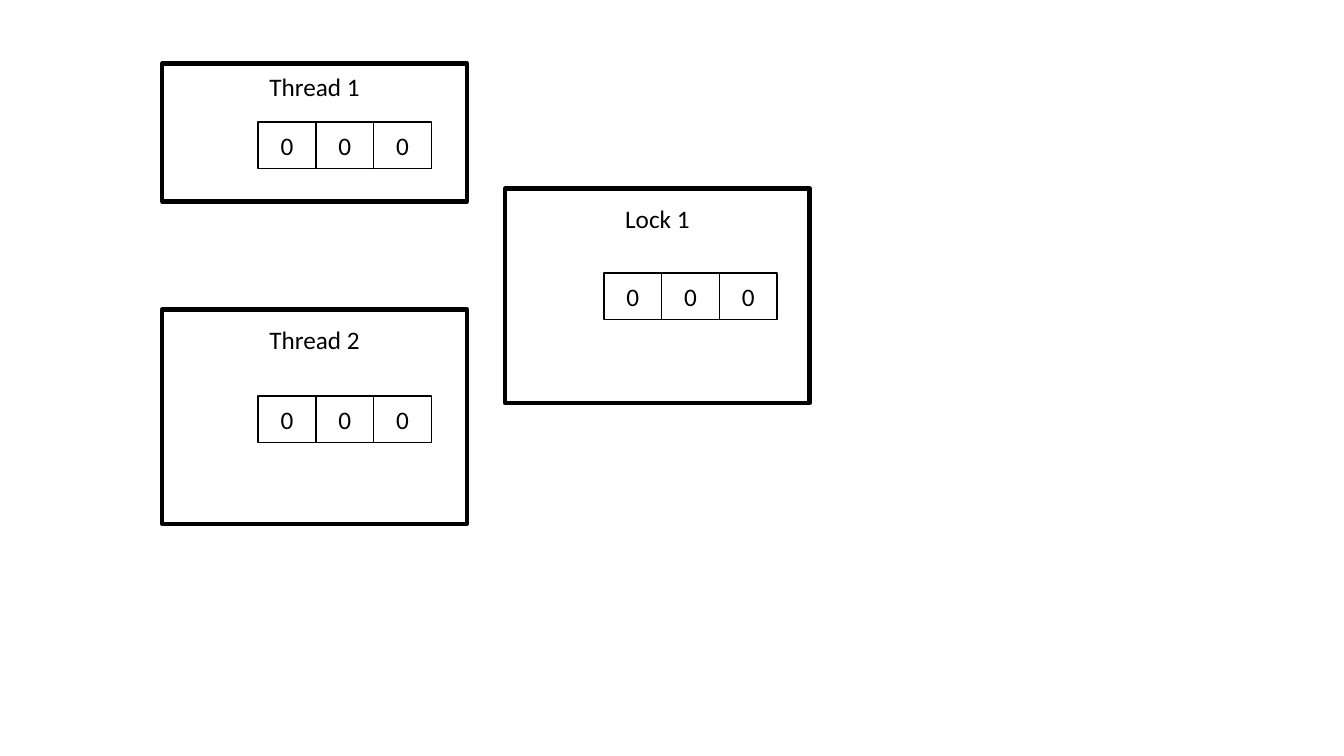
from pptx import Presentation
from pptx import util as u
from pptx.dml.color import RGBColor
from pptx.enum import shapes, text

BLACK = RGBColor(0, 0, 0)
WHITE = RGBColor(255, 255, 255)
FONT_FORMAT = {"name": "Calibri", "size": u.Pt(18)}
CELL_WIDTH, CELL_HEIGHT = 0.573, 0.46
CLOCK = ("0", "0", "0")

# name, box (left, top, width, height), title inset, clock offset in the box
PANELS = [
    ("Thread 1", (1.61, 0.63, 3.02, 1.37), 0.08, (0.95, 0.58)),
    ("Thread 2", (1.61, 3.07, 3.02, 2.13), 0.15, (0.95, 0.86)),
    ("Lock 1", (5.01, 1.87, 3.02, 2.13), 0.15, (0.98, 0.84)),
]


def add_box(parent, box, label, line_width, anchor):
    """Add an outlined white rectangle with a centred label."""
    shape = parent.add_shape(
        shapes.MSO_SHAPE.RECTANGLE, *(u.Inches(length) for length in box))
    shape.shadow.inherit = False
    shape.fill.solid()
    shape.fill.fore_color.rgb = WHITE
    shape.line.color.rgb = BLACK
    shape.line.width = u.Pt(line_width)
    frame = shape.text_frame
    frame.word_wrap = True
    frame.vertical_anchor = anchor
    paragraph = frame.paragraphs[0]
    paragraph.text = label
    paragraph.alignment = text.PP_ALIGN.CENTER
    for name, value in FONT_FORMAT.items():
        setattr(paragraph.font, name, value)
    paragraph.font.color.rgb = BLACK
    return shape


def add_clock(slide, left, top):
    """Add a row of clock cells starting at the given corner."""
    group = slide.shapes.add_group_shape()
    for column, value in enumerate(CLOCK):
        box = (left + column * CELL_WIDTH, top, CELL_WIDTH, CELL_HEIGHT)
        add_box(group.shapes, box, value, 1, text.MSO_ANCHOR.MIDDLE)


def add_panel(slide, name, box, title_inset, clock_offset):
    """Add a titled panel and the clock inside it."""
    panel = add_box(slide.shapes, box, name, 3, text.MSO_ANCHOR.TOP)
    panel.text_frame.margin_top = u.Inches(title_inset)
    add_clock(slide, box[0] + clock_offset[0], box[1] + clock_offset[1])


def main():
    presentation = Presentation()
    presentation.slide_width = u.Inches(13.33)
    presentation.slide_height = u.Inches(7.5)
    slide = presentation.slides.add_slide(presentation.slide_layouts[6])

    # Threads and lock, each with its vector clock
    for panel in PANELS:
        add_panel(slide, *panel)

    presentation.save("out.pptx")


if __name__ == "__main__":
    main()
